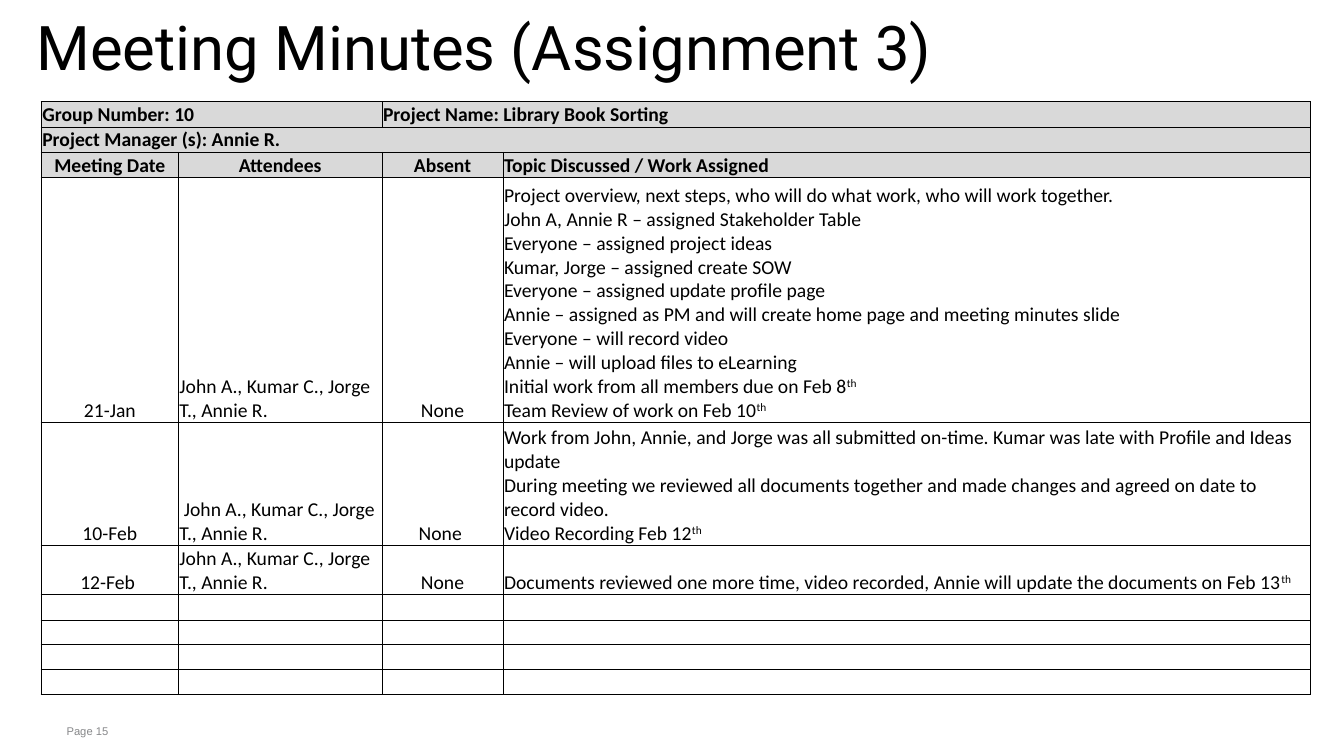
from lxml.etree import SubElement
from pptx import Presentation
from pptx.dml.color import RGBColor
from pptx.enum.text import MSO_ANCHOR, MSO_AUTO_SIZE, PP_ALIGN
from pptx.oxml.ns import qn
from pptx.util import Pt

COLORS = {"ink": "000000", "header": "D9D9D9", "muted": "87888A"}
PX = 9144
COLUMNS = [136, 202, 120, 801]
ROWS = [25, 25, 25, 243, 122, 49, 25, 24, 24, 25]
HEADER_ROWS = 3
MERGES = [(0, 0, 1), (0, 2, 3), (1, 0, 3)]
CENTERED = (0, 2)
MINUTES = [
    ["Group Number: 10", "", "Project Name: Library Book Sorting", ""],
    ["Project Manager (s): Annie R.", "", "", ""],
    ["Meeting Date", "Attendees", "Absent", "Topic Discussed / Work Assigned"],
    ["21-Jan", "John A., Kumar C., Jorge T., Annie R.", "None",
     """Project overview, next steps, who will do what work, who will work together.
John A, Annie R – assigned Stakeholder Table
Everyone – assigned project ideas
Kumar, Jorge – assigned create SOW
Everyone – assigned update profile page
Annie – assigned as PM and will create home page and meeting minutes slide
Everyone – will record video
Annie – will upload files to eLearning
Initial work from all members due on Feb 8^th
Team Review of work on Feb 10^th"""],
    ["10-Feb", " John A., Kumar C., Jorge T., Annie R.", "None ",
     """Work from John, Annie, and Jorge was all submitted on-time. Kumar was late with Profile and Ideas update
During meeting we reviewed all documents together and made changes and agreed on date to record video.
Video Recording Feb 12^th"""],
    ["12-Feb ", "John A., Kumar C., Jorge T., Annie R. ", "None",
     "Documents reviewed one more time, video recorded, Annie will update the documents on Feb 13^th"],
] + [[""] * 4 for _ in range(4)]


class Deck:
    """Holds the style and the current slide, and draws each kind of element."""

    def __init__(self, width, height):
        self.prs = Presentation()
        self.prs.slide_width, self.prs.slide_height = width * PX, height * PX
        self.s = self.prs.slides.add_slide(self.prs.slide_layouts[5])

    def lines(self, tf, text, font, size, color="ink", bold=False, align=PP_ALIGN.LEFT):
        style = {"name": font, "size": Pt(size), "bold": bold}
        for i, line in enumerate(text.split("\n")):
            p = tf.paragraphs[0] if i == 0 else tf.add_paragraph()
            p.alignment = align
            for j, part in enumerate(line.split("^") if line else []):
                r = p.add_run()
                r.text = part
                for name, value in style.items():
                    setattr(r.font, name, value)
                r.font.color.rgb = RGBColor.from_string(COLORS[color])
                if j == 1:
                    r._r.get_or_add_rPr().set("baseline", "30000")
            if not line:
                SubElement(p._p, qn("a:endParaRPr"), sz=str(size * 100))

    def frame(self, tf, anchor, top, side):
        values = {"word_wrap": True, "auto_size": MSO_AUTO_SIZE.NONE, "vertical_anchor": anchor,
                  "margin_left": side * PX, "margin_right": side * PX,
                  "margin_top": top * PX, "margin_bottom": top * PX}
        for name, value in values.items():
            setattr(tf, name, value)

    def title(self, text, left, top, width, height):
        sp = self.s.shapes.title
        box = {"left": left, "top": top, "width": width, "height": height}
        for name, value in box.items():
            setattr(sp, name, value * PX)
        self.frame(sp.text_frame, MSO_ANCHOR.MIDDLE, 0, 8)
        self.lines(sp.text_frame, text, "Roboto", 44)
        sp.text_frame.paragraphs[0].line_spacing = 0.75

    def text(self, text, left, top, width, height):
        sp = self.s.shapes.add_textbox(left * PX, top * PX, width * PX, height * PX)
        self.frame(sp.text_frame, MSO_ANCHOR.TOP, 5, 8)
        self.lines(sp.text_frame, text, "Arial", 8, "muted")

    def borders(self, cell, thick):
        tc_pr = cell._tc.get_or_add_tcPr()
        for side in "LRTB":
            width = Pt(1 if side in thick else 0.5)
            ln = SubElement(tc_pr, qn(f"a:ln{side}"), w=str(width))
            fill = SubElement(ln, qn("a:solidFill"))
            SubElement(fill, qn("a:srgbClr"), val=COLORS["ink"])

    def cell(self, cell, text, header, align, thick):
        margins = {"margin_left": PX, "margin_right": PX, "margin_top": PX, "margin_bottom": 0,
                   "vertical_anchor": MSO_ANCHOR.BOTTOM}
        for name, value in margins.items():
            setattr(cell, name, value)
        self.borders(cell, thick)
        if header:
            cell.fill.solid()
            cell.fill.fore_color.rgb = RGBColor.from_string(COLORS["header"])
        else:
            cell.fill.background()
        self.lines(cell.text_frame, text, "Calibri", 14, bold=header, align=align)

    def table(self, rows, left, top):
        table = self.s.shapes.add_table(len(ROWS), len(COLUMNS), left * PX, top * PX,
                                        sum(COLUMNS) * PX, sum(ROWS) * PX).table
        table.first_row = table.horz_banding = False
        for column, width in zip(table.columns, COLUMNS):
            column.width = width * PX
        for row, height in zip(table.rows, ROWS):
            row.height = height * PX
        for row, first, last in MERGES:
            table.cell(row, first).merge(table.cell(row, last))
        for i, row in enumerate(rows):
            for j, text in enumerate(row):
                edges = {"L": j == 0, "R": j == len(COLUMNS) - 1,
                         "T": i in (0, HEADER_ROWS),
                         "B": i in (HEADER_ROWS - 1, len(ROWS) - 1)}
                thick = [side for side, outer in edges.items() if outer]
                centered = i >= HEADER_ROWS - 1 and j in CENTERED or text == "Attendees"
                align = PP_ALIGN.CENTER if centered else PP_ALIGN.LEFT
                self.cell(table.cell(i, j), text, i < HEADER_ROWS, align, thick)


def main():
    deck = Deck(1333, 750)
    deck.text("Page 15", 58, 714, 1079, 24)
    deck.table(MINUTES, 41, 101)
    deck.title("Meeting Minutes (Assignment 3)", 28, 26, 957, 55)
    deck.prs.save("out.pptx")


if __name__ == "__main__":
    main()
